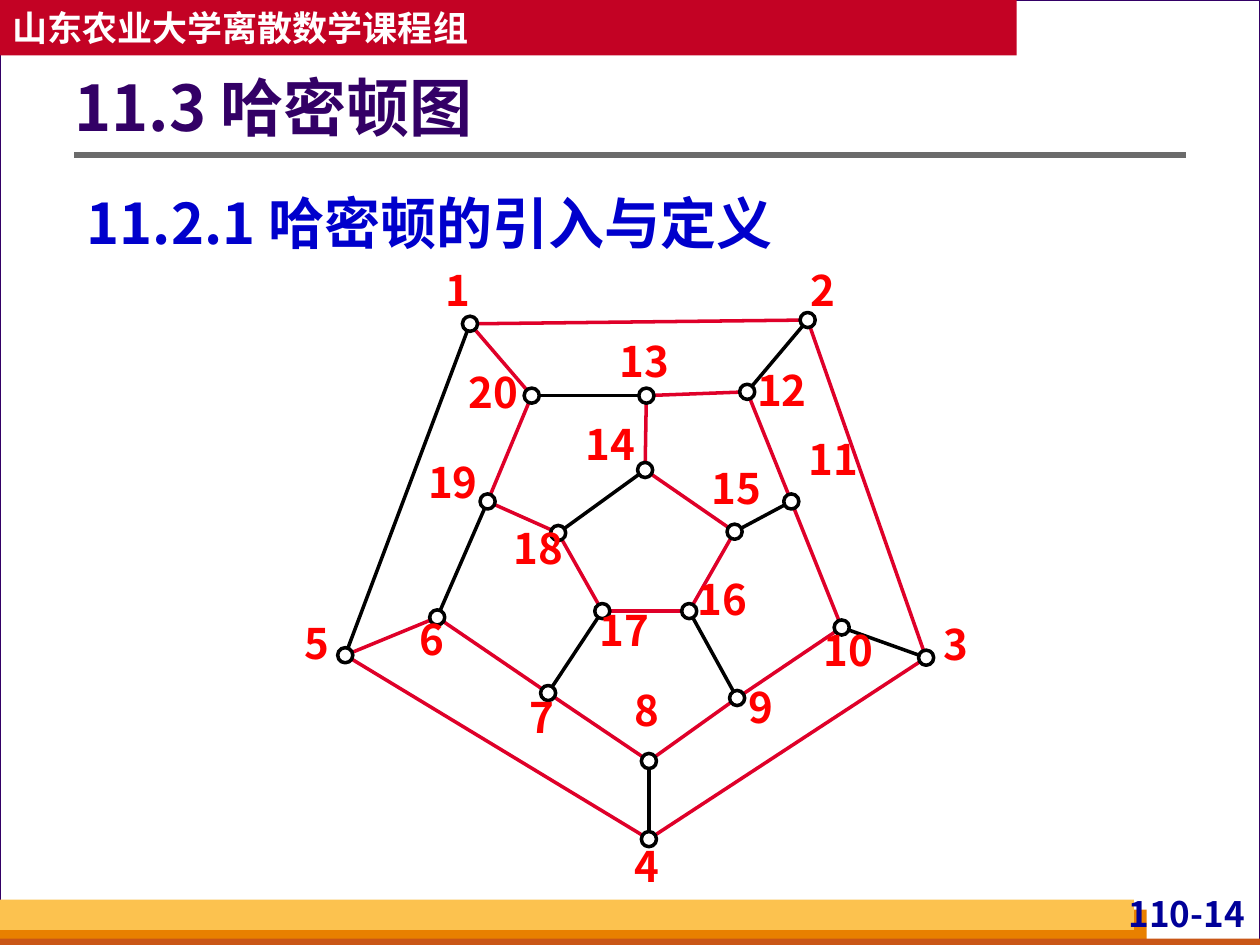
from math import hypot
from lxml.etree import SubElement
from pptx import Presentation
from pptx.dml.color import RGBColor
from pptx.enum.shapes import MSO_CONNECTOR, MSO_SHAPE
from pptx.enum.text import MSO_ANCHOR, PP_ALIGN
from pptx.oxml.ns import qn
from pptx.util import Inches, Pt

COLS, ROWS = 100, 75
UNIT = 0.1
FONT = "Noto Sans CJK SC"
NODE = 1.2
DIGIT, LABEL_H = 2.35, 4
COLORS = {
    "back": "D8DADA", "paper": "FFFFFF", "ink": "000000", "border": "330066",
    "banner": "C30224", "rule": "6B6B6B", "orange": "E88000", "rust": "C95616",
    "gold": "FCC24F", "page": "000099", "heading": "0000CC",
    "cycle": "DF0029", "label": "FF0000",
}
NODES = {
    1: (13.3, 4.7), 2: (40.1, 4.4), 3: (49.5, 31.2), 4: (27.5, 45.6),
    5: (3.4, 31), 6: (10.7, 28), 7: (19.5, 34), 8: (27.5, 39.4),
    9: (34.5, 34.4), 10: (42.8, 28.8), 11: (38.8, 18.8), 12: (35.3, 10.1),
    13: (27.3, 10.4), 14: (27.2, 16.3), 15: (34.3, 21.2), 16: (30.7, 27.5),
    17: (23.8, 27.5), 18: (20.3, 21.3), 19: (14.7, 18.8), 20: (18.2, 10.4),
}
LABELS = {
    1: (11.2, 0), 2: (40.1, 0), 3: (50.7, 28.1), 4: (26.2, 45.7),
    5: (0, 28), 6: (9.1, 27.7), 7: (17.8, 33.9), 8: (26.2, 33.3),
    9: (35.2, 33.1), 10: (41, 28.6), 11: (39.8, 13.4), 12: (35.7, 7.9),
    13: (24.8, 5.6), 14: (22.1, 12.2), 15: (32.1, 15.7), 16: (31, 24.5),
    17: (23.2, 27), 18: (16.4, 20.5), 19: (9.6, 15.2), 20: (12.8, 8.1),
}
CYCLE = [(n, n % len(NODES) + 1) for n in NODES]
CHORDS = [(1, 5), (2, 12), (3, 10), (4, 8), (6, 19),
          (7, 17), (9, 16), (11, 15), (13, 20), (14, 18)]


def rgb(name):
    return RGBColor.from_string(COLORS[name])


def grid(*values):
    return [Inches(v * UNIT) for v in values]


def add_box(s, box, fill, line=None, width=0.75, kind=MSO_SHAPE.RECTANGLE):
    sp = s.shapes.add_shape(kind, *grid(*box))
    sp.shadow.inherit = False
    sp.fill.solid()
    sp.fill.fore_color.rgb = rgb(fill)
    if line:
        sp.line.color.rgb = rgb(line)
        sp.line.width = Pt(width)
    else:
        sp.line.fill.background()
    return sp


def add_line(s, start, end, color, width):
    cn = s.shapes.add_connector(MSO_CONNECTOR.STRAIGHT, *grid(*start, *end))
    cn.line.color.rgb = rgb(color)
    cn.line.width = Pt(width)
    SubElement(cn._element.spPr, qn("a:effectLst"))


def write(sp, text, size, color, margins=(0, 0, 0, 0), align=PP_ALIGN.LEFT,
          anchor=MSO_ANCHOR.TOP, spacing=None):
    tf = sp.text_frame
    left, top, right, bottom = grid(*margins)
    frame = {"word_wrap": True, "vertical_anchor": anchor, "margin_left": left,
             "margin_top": top, "margin_right": right, "margin_bottom": bottom}
    for key, value in frame.items():
        setattr(tf, key, value)
    p = tf.paragraphs[0]
    p.alignment = align
    if spacing:
        p.line_spacing = spacing
    r = p.add_run()
    r.text = text
    for key, value in {"name": FONT, "size": Pt(size), "bold": True}.items():
        setattr(r.font, key, value)
    r.font.color.rgb = rgb(color)
    r._r.get_or_add_rPr().get_or_add_latin().addnext(
        r._r.rPr.makeelement(qn("a:ea"), {"typeface": FONT}))


def add_text(s, box, *args, **kwargs):
    write(s.shapes.add_textbox(*grid(*box)), *args, **kwargs)


def page_frame(s, box):
    x, y, w, h = box
    add_box(s, box, "paper", "border")
    add_box(s, (x, y + h - 2.8, w * 0.91, 2.8), "orange")
    add_box(s, (x, y + h - 0.5, w, 0.8), "rust")
    add_box(s, (x, y + h - 3.6, w * 0.9, 2.4), "gold")
    add_text(s, (x + w * 0.87, y + h - 4.2, 12.2, 3.8), "110-14", 20, "page",
             margins=(0.4, 0, 0.4, 0), align=PP_ALIGN.RIGHT)
    banner = add_box(s, (x, y, w * 0.807, 4.4), "banner")
    write(banner, "山东农业大学离散数学课程组", 20, "paper",
          margins=(1, 0.5, 1, 0.5), anchor=MSO_ANCHOR.MIDDLE)


def headings(s, box):
    x, y, w, h = box
    add_line(s, (x, y + h / 2), (x + w, y + h / 2), "rule", 3)
    add_text(s, (x, y, w, 10.1), "11.3 哈密顿图", 36, "border",
             margins=(0, 0.5, 1, 0.5), anchor=MSO_ANCHOR.MIDDLE, spacing=0.9)
    add_text(s, (x, y + 9.6, w, 7.4), "11.2.1 哈密顿的引入与定义", 32, "heading",
             margins=(1, 0.5, 1, 0.5), align=PP_ALIGN.JUSTIFY, spacing=1.2)


def hamilton_graph(s, box):
    x, y = box[:2]
    radius = NODE / 2
    for edges, color in ((CHORDS, "ink"), (CYCLE, "cycle")):
        for a, b in edges:
            (ax, ay), (bx, by) = NODES[a], NODES[b]
            share = radius / hypot(bx - ax, by - ay)
            dx, dy = (bx - ax) * share, (by - ay) * share
            add_line(s, (x + ax + dx, y + ay + dy),
                     (x + bx - dx, y + by - dy), color, 2)
    for cx, cy in NODES.values():
        add_box(s, (x + cx - radius, y + cy - radius, NODE, NODE),
                "paper", "ink", 2, MSO_SHAPE.OVAL)
    for n, (lx, ly) in LABELS.items():
        add_text(s, (x + lx, y + ly, DIGIT * len(str(n)), LABEL_H), str(n),
                 24, "label", align=PP_ALIGN.CENTER)


def main():
    prs = Presentation()
    prs.slide_width, prs.slide_height = grid(COLS, ROWS)
    s = prs.slides.add_slide(prs.slide_layouts[6])
    s.background.fill.solid()
    s.background.fill.fore_color.rgb = rgb("back")
    page_frame(s, (0, 0, COLS, ROWS))
    headings(s, (5.9, 3.8, 88.2, 17))
    hamilton_graph(s, (24, 21, 53.1, 49.7))
    prs.save("out.pptx")


if __name__ == "__main__":
    main()
